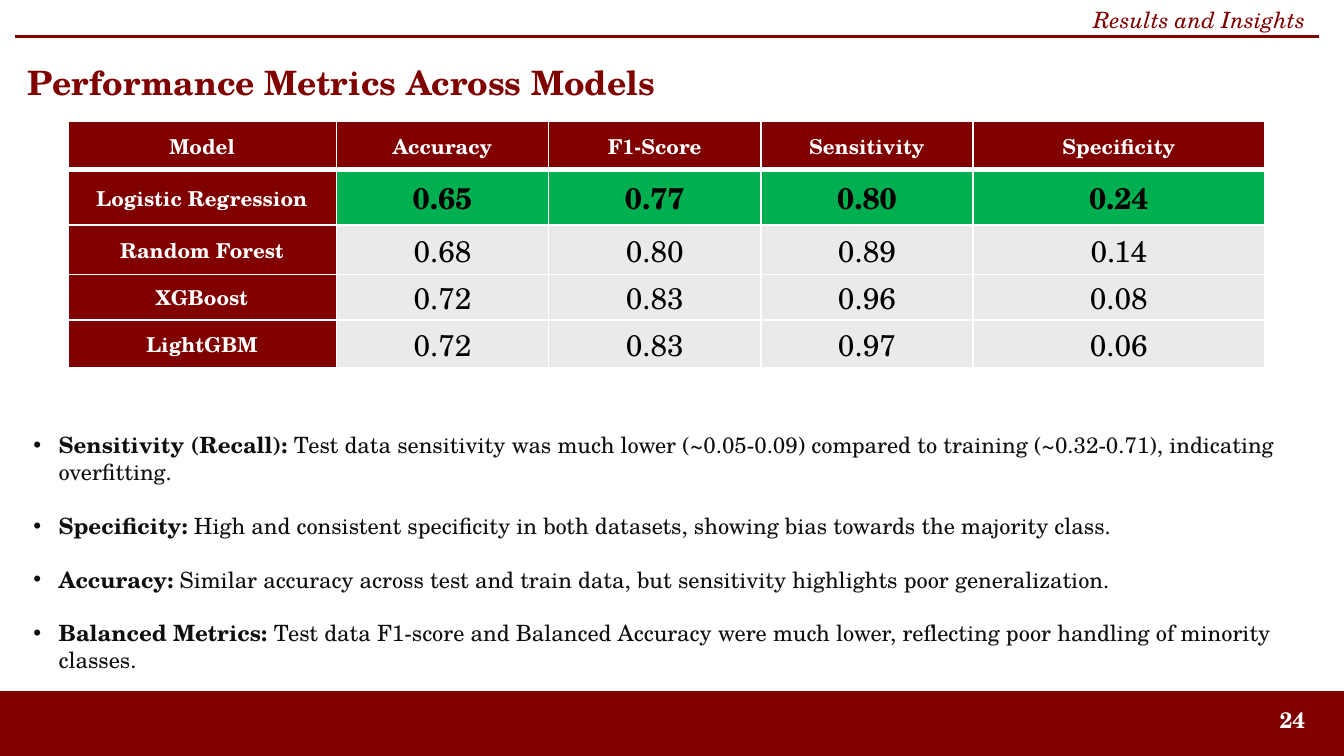
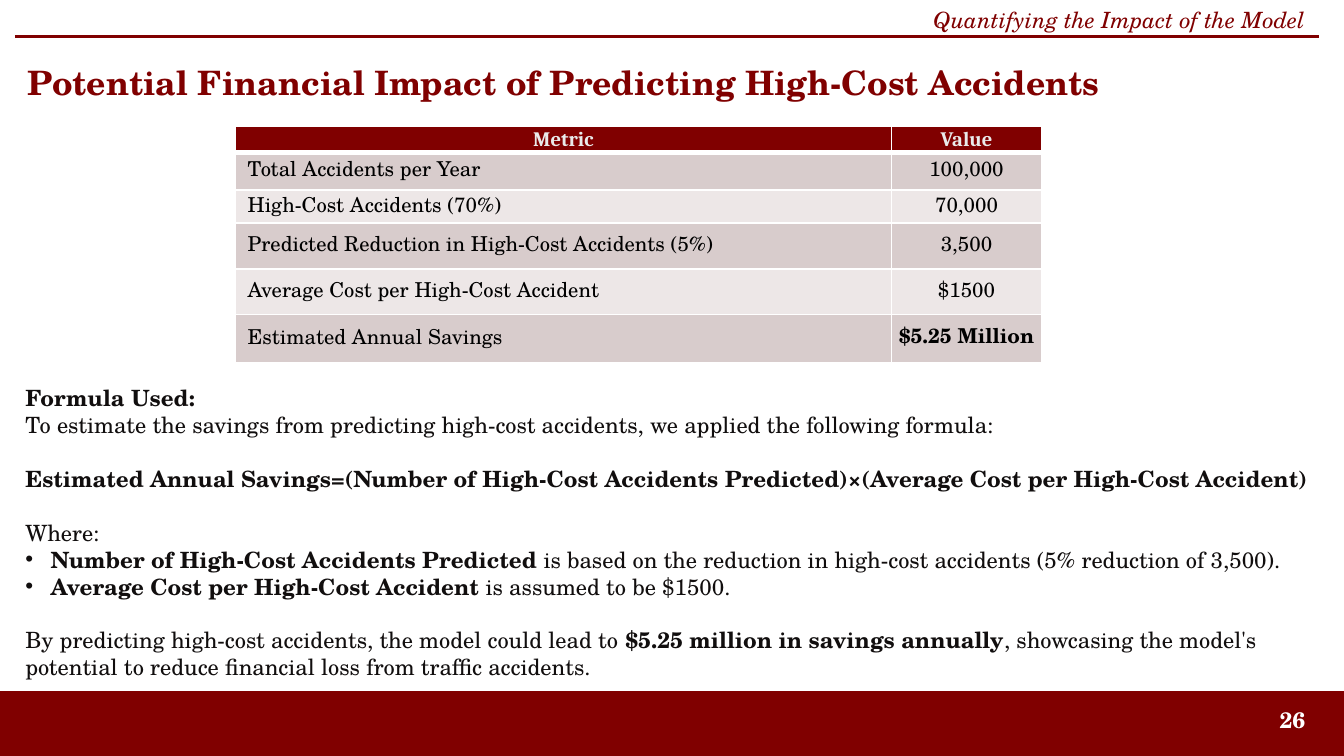
from collections import namedtuple

from lxml.etree import SubElement
from pptx import Presentation
from pptx.dml.color import RGBColor
from pptx.enum.shapes import MSO_CONNECTOR, MSO_SHAPE
from pptx.enum.text import MSO_ANCHOR, PP_ALIGN
from pptx.oxml.ns import qn
from pptx.util import Cm, Pt

Box = namedtuple("Box", "left top width height")

COLOURS = {
    "maroon": "800000",
    "white": "FFFFFF",
    "ink": "110E0E",
    "black": "000000",
    "green": "00B050",
    "grey": "EAEAEA",
    "rose": "D8CCCC",
    "pale": "EDE7E7",
}
SERIF = "TeX Gyre Schola"
HEADER_FONT = "Cambria"
LINE_GAP = Pt(14.4)
BULLET_INDENT = Cm(0.48)

TITLE = {"size": Pt(18), "bold": True}
RUNNING_HEAD = {"size": Pt(12), "italic": True}
PAGE_NUMBER = {"size": Pt(12), "bold": True}
BODY = {"size": Pt(12)}
LABEL = {"size": Pt(11), "bold": True}
PLAIN = {"size": Pt(11), "bold": False}
SCORE = {"size": Pt(16), "bold": False}
BEST_SCORE = {"size": Pt(16), "bold": True}
METRIC_SPACING = {"line_spacing": Pt(13.2), "space_before": Pt(0.2), "space_after": Pt(0.2)}

SLIDE = Box(0, 0, 25.4, 14.29)

SCORES = [
    ["Model", "Accuracy", "F1-Score", "Sensitivity", "Specificity"],
    ["Logistic Regression", "0.65", "0.77", "0.80", "0.24"],
    ["Random Forest", "0.68", "0.80", "0.89", "0.14"],
    ["XGBoost", "0.72", "0.83", "0.96", "0.08"],
    ["LightGBM", "0.72", "0.83", "0.97", "0.06"],
]
SAVINGS = [
    ["Metric", "Value"],
    ["Total Accidents per Year", "100,000"],
    ["High-Cost Accidents (70%)", "70,000"],
    ["Predicted Reduction in High-Cost Accidents (5%)", "3,500"],
    ["Average Cost per High-Cost Accident", "$1500"],
    ["Estimated Annual Savings", "$5.25 Million"],
]
FINDINGS = [
    "**Sensitivity (Recall):** Test data sensitivity was much lower (~0.05-0.09) compared to "
    "training (~0.32-0.71), indicating overfitting.",
    "**Specificity:** High and consistent specificity in both datasets, showing bias towards "
    "the majority class.",
    "**Accuracy:** Similar accuracy across test and train data, but sensitivity highlights "
    "poor generalization.",
    "**Balanced Metrics:** Test data F1-score and Balanced Accuracy were much lower, "
    "reflecting poor handling of minority classes.",
]
FORMULA_BLOCKS = [
    ["**Formula Used:**",
     "To estimate the savings from predicting high-cost accidents, we applied the "
     "following formula:"],
    ["**Estimated Annual Savings=(Number of High-Cost Accidents Predicted)"
     "×(Average Cost per High-Cost Accident)**"],
    ["Where:",
     "• **Number of High-Cost Accidents Predicted** is based on the reduction in "
     "high-cost accidents (5% reduction of 3,500).",
     "• **Average Cost per High-Cost Accident** is assumed to be $1500."],
    ["By predicting high-cost accidents, the model could lead to **$5.25 million in savings "
     "annually**, showcasing the model's potential to reduce financial loss from traffic "
     "accidents."],
]


def colour(name):
    return RGBColor.from_string(COLOURS[name])


def apply(target, values):
    for name, value in values.items():
        setattr(target, name, value)


def add_span(para, text, style, ink, font=SERIF):
    span = para.add_run()
    span.text = text
    apply(span.font, {"name": font, **style})
    span.font.color.rgb = colour(ink)
    return span


def add_text_box(page, box, anchor=MSO_ANCHOR.MIDDLE, margin=0.13):
    frame = page.shapes.add_textbox(*map(Cm, box)).text_frame
    apply(frame, {
        "word_wrap": True, "vertical_anchor": anchor,
        "margin_left": Cm(0.25), "margin_right": Cm(0.25),
        "margin_top": Cm(margin), "margin_bottom": Cm(margin),
    })
    return frame


def add_label(page, box, text, style, ink, align=PP_ALIGN.LEFT, margin=0.13):
    para = add_text_box(page, box, margin=margin).paragraphs[0]
    para.alignment = align
    add_span(para, text, style, ink)


def add_bullet(para):
    properties = para._p.get_or_add_pPr()
    properties.set("marL", str(BULLET_INDENT))
    properties.set("indent", str(-BULLET_INDENT))
    SubElement(properties, qn("a:buFont"), typeface="Arial")
    SubElement(properties, qn("a:buChar"), char="•")


def add_blocks(page, box, blocks, anchor):
    frame = add_text_box(page, box, anchor)
    lines = [(line, row == 0 and block > 0)
             for block, group in enumerate(blocks) for row, line in enumerate(group)]
    for index, (line, starts_block) in enumerate(lines):
        para = frame.add_paragraph() if index else frame.paragraphs[0]
        if starts_block:
            para.space_before = LINE_GAP
        if line.startswith("• "):
            add_bullet(para)
        for part, text in enumerate(line.removeprefix("• ").split("**")):
            if text:
                add_span(para, text, {**BODY, "bold": part % 2 == 1}, "ink")


def add_frame(page, box, heading, section, number):
    footer = page.shapes.add_shape(
        MSO_SHAPE.RECTANGLE,
        *map(Cm, (box.left, box.top + 13.08, box.width, box.height - 13.08)))
    footer.shadow.inherit = False
    footer.fill.solid()
    footer.fill.fore_color.rgb = colour("maroon")
    footer.line.color.rgb = colour("maroon")
    footer.line.width = Pt(1)

    left, right = box.left + 0.28, box.left + box.width - 0.48
    rule_top = box.top + 0.69
    rule = page.shapes.add_connector(
        MSO_CONNECTOR.STRAIGHT, *map(Cm, (left, rule_top, right, rule_top)))
    rule.line.color.rgb = colour("maroon")
    rule.line.width = Pt(2)
    SubElement(rule._element.spPr, qn("a:effectLst"))

    add_label(page, Box(left, box.top + 0.79, right - left, 1.52), heading, TITLE, "maroon")
    add_label(page, Box(right - 1.42, box.top + 13.23, 1.42, 0.76), str(number),
              PAGE_NUMBER, "white", PP_ALIGN.RIGHT)
    add_label(page, Box(right - 12.22, box.top + 0.15, 12.22, 0.43), section,
              RUNNING_HEAD, "maroon", PP_ALIGN.RIGHT, 0)


def add_borders(cell, row):
    properties = cell._tc.get_or_add_tcPr()
    widths = {"L": 1, "R": 1, "T": 3 if row == 1 else 1, "B": 3 if row == 0 else 1}
    for side, width in widths.items():
        line = SubElement(properties, qn(f"a:ln{side}"), w=str(Pt(width)))
        fill = SubElement(line, qn("a:solidFill"))
        SubElement(fill, qn("a:srgbClr"), val=COLOURS["white"])


def add_grid(page, box, values, columns, rows, look):
    table = page.shapes.add_table(len(rows), len(columns), *map(Cm, box)).table
    table.horz_banding = False
    for column, share in zip(table.columns, columns):
        column.width = Cm(box.width * share / sum(columns))
    for row, share in zip(table.rows, rows):
        row.height = Cm(box.height * share / sum(rows))
    for row, texts in enumerate(values):
        for column, text in enumerate(texts):
            cell = table.cell(row, column)
            fill, style, ink, font, align, spacing = look(row, column)
            add_borders(cell, row)
            cell.fill.solid()
            cell.fill.fore_color.rgb = colour(fill)
            apply(cell, {
                "vertical_anchor": MSO_ANCHOR.MIDDLE, "margin_right": Cm(0.02),
                "margin_left": Cm(0.23 if align == PP_ALIGN.LEFT else 0.02),
                "margin_top": Cm(0.02), "margin_bottom": 0,
            })
            para = cell.text_frame.paragraphs[0]
            apply(para, {"alignment": align, **spacing})
            add_span(para, text, style, ink, font)


def score_look(row, column):
    if row == 0 or column == 0:
        fill, style, ink = "maroon", LABEL, "white"
    elif row == 1:
        fill, style, ink = "green", BEST_SCORE, "black"
    else:
        fill, style, ink = "grey", SCORE, "black"
    return fill, style, ink, SERIF, PP_ALIGN.CENTER, {}


def savings_look(row, column):
    if row == 0:
        return "maroon", LABEL, "grey", HEADER_FONT, PP_ALIGN.CENTER, {}
    fill = "rose" if row % 2 else "pale"
    is_total = row == len(SAVINGS) - 1 and column == 1
    align = PP_ALIGN.CENTER if column else PP_ALIGN.LEFT
    return fill, LABEL if is_total else PLAIN, "black", SERIF, align, METRIC_SPACING


def add_metrics_page(page, box):
    add_frame(page, box, "Performance Metrics Across Models", "Results and Insights", 24)
    add_grid(page, Box(box.left + 1.28, box.top + 2.3, 22.62, 4.66), SCORES,
             [2, 1.58, 1.58, 1.58, 2.17], [0.36, 0.41, 0.37, 0.34, 0.36], score_look)
    add_blocks(page, Box(box.left + 0.38, box.top + 8, 24.43, 4.88),
               [["• " + finding] for finding in FINDINGS], MSO_ANCHOR.MIDDLE)


def add_impact_page(page, box):
    add_frame(page, box, "Potential Financial Impact of Predicting High-Cost Accidents",
              "Quantifying the Impact of the Model", 26)
    add_blocks(page, Box(box.left + 0.23, box.top + 7.14, 25.17, 6.4),
               FORMULA_BLOCKS, MSO_ANCHOR.TOP)
    add_grid(page, Box(box.left + 4.45, box.top + 2.39, 15.24, 4.46), SAVINGS,
             [4.88, 1.12], [0.19, 0.28, 0.25, 0.34, 0.34, 0.36], savings_look)


def main():
    deck = Presentation()
    deck.slide_width, deck.slide_height = Cm(SLIDE.width), Cm(SLIDE.height)
    for build in (add_metrics_page, add_impact_page):
        build(deck.slides.add_slide(deck.slide_layouts[6]), SLIDE)
    deck.save("out.pptx")


if __name__ == "__main__":
    main()
